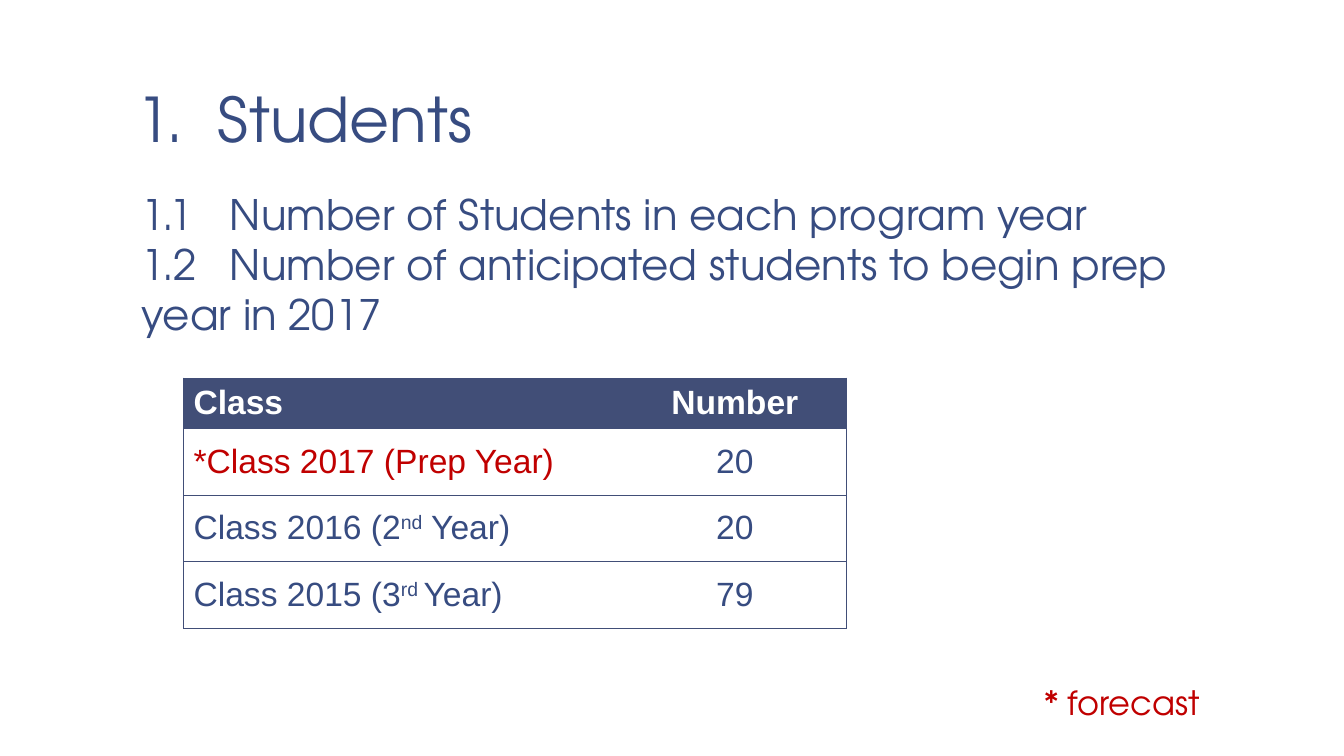
from lxml.etree import SubElement
from pptx import Presentation
from pptx.dml.color import RGBColor
from pptx.enum.text import MSO_ANCHOR, MSO_AUTO_SIZE, PP_ALIGN
from pptx.oxml.ns import qn
from pptx.util import Pt

COLORS = {"navy": "374C81", "header": "414E77", "red": "C00000", "white": "FFFFFF"}
HEAD_FONT = "TeX Gyre Adventor"
TABLE_FONT = "Arial"


def add_text(p, text, font=HEAD_FONT, size=24, color="navy", bold=False, raised=False):
    r = p.add_run()
    r.text = text
    r.font.name, r.font.size, r.font.bold = font, Pt(size), bold
    r.font.color.rgb = RGBColor.from_string(COLORS[color])
    if raised:
        r._r.get_or_add_rPr().set("baseline", "30000")


def add_tab_stop(p, pos):
    tabs = SubElement(p._p.get_or_add_pPr(), qn("a:tabLst"))
    SubElement(tabs, qn("a:tab"), pos=str(Pt(pos)), algn="l")


def set_border(cell, side, color=None):
    ln = SubElement(cell._tc.get_or_add_tcPr(), qn(f"a:ln{side}"), w=str(Pt(0.5)))
    if color:
        fill = SubElement(ln, qn("a:solidFill"))
        SubElement(fill, qn("a:srgbClr"), val=COLORS[color])
    else:
        SubElement(ln, qn("a:noFill"))


class SlideBuilder:
    def __init__(self, slide):
        self.s = slide

    def frame(self, sp, margin_x=7.2, margin_y=3.6):
        tf = sp.text_frame
        tf.word_wrap = True
        tf.auto_size = MSO_AUTO_SIZE.NONE
        tf.margin_left = tf.margin_right = Pt(margin_x)
        tf.margin_top = tf.margin_bottom = Pt(margin_y)
        return tf

    def title(self, text, x, y, w, h):
        sp = self.s.shapes.title
        sp.left, sp.top, sp.width, sp.height = Pt(x), Pt(y), Pt(w), Pt(h)
        tf = self.frame(sp, 9.6, 4.8)
        tf.vertical_anchor = MSO_ANCHOR.BOTTOM
        p = tf.paragraphs[0]
        p.alignment, p.line_spacing = PP_ALIGN.LEFT, 0.85
        add_tab_stop(p, 58)
        add_text(p, text, size=44)

    def text_box(self, lines, x, y, w, h, tab=None, margins=(7.2, 3.6), **fmt):
        sp = self.s.shapes.add_textbox(Pt(x), Pt(y), Pt(w), Pt(h))
        tf = self.frame(sp, *margins)
        for i, line in enumerate(lines):
            p = tf.add_paragraph() if i else tf.paragraphs[0]
            if tab:
                add_tab_stop(p, tab)
            add_text(p, line, **fmt)

    def table(self, rows, x, y, widths, heights):
        tbl = self.s.shapes.add_table(len(rows), len(widths), Pt(x), Pt(y),
                                      Pt(sum(widths)), Pt(sum(heights))).table
        tbl.horz_banding = False
        for col, w in zip(tbl.columns, widths):
            col.width = Pt(w)
        for row, h in zip(tbl.rows, heights):
            row.height = Pt(h)
        for i, (color, *cells) in enumerate(rows):
            for j, runs in enumerate(cells):
                cell = tbl.cell(i, j)
                cell.vertical_anchor = MSO_ANCHOR.MIDDLE
                # Only the outer sides and the row lines are drawn
                set_border(cell, "L", None if j else "header")
                set_border(cell, "R", "header" if j else None)
                set_border(cell, "T", "header")
                set_border(cell, "B", "header")
                cell.fill.solid()
                fill = "white" if i else "header"
                cell.fill.fore_color.rgb = RGBColor.from_string(COLORS[fill])
                p = cell.text_frame.paragraphs[0]
                p.alignment = PP_ALIGN.CENTER if j else PP_ALIGN.LEFT
                run_color = "navy" if i and j else color
                for k, text in enumerate(runs):
                    add_text(p, text, font=TABLE_FONT, color=run_color,
                             bold=i == 0, raised=k == 1)


def main():
    prs = Presentation()
    prs.slide_width, prs.slide_height = Pt(960), Pt(540)
    b = SlideBuilder(prs.slides.add_slide(prs.slide_layouts[5]))

    # Heading and topics
    b.title("1.\tStudents", 87.84, 5.76, 799.92, 110.16)
    b.text_box(["1.1\tNumber of Students in each program year",
                "1.2\tNumber of anticipated students to begin prep year in 2017"],
               91.44, 129.6, 763.92, 154.8, tab=63, margins=(9.6, 4.8), size=30)

    # Class sizes: text colour, class runs (second one raised), number
    b.table([("white", ["Class"], ["Number"]),
             ("red", ["*Class 2017 (Prep Year)"], ["20"]),
             ("navy", ["Class 2016 (2", "nd", " Year)"], ["20"]),
             ("navy", ["Class 2015 (3", "rd ", "Year)"], ["79"])],
            131.04, 270, [313.92, 159.84], [36, 47.52, 47.52, 47.52])

    # Footnote
    b.text_box(["* forecast"], 738.72, 483.84, 202.32, 36.72, color="red")
    prs.save("out.pptx")


if __name__ == "__main__":
    main()
